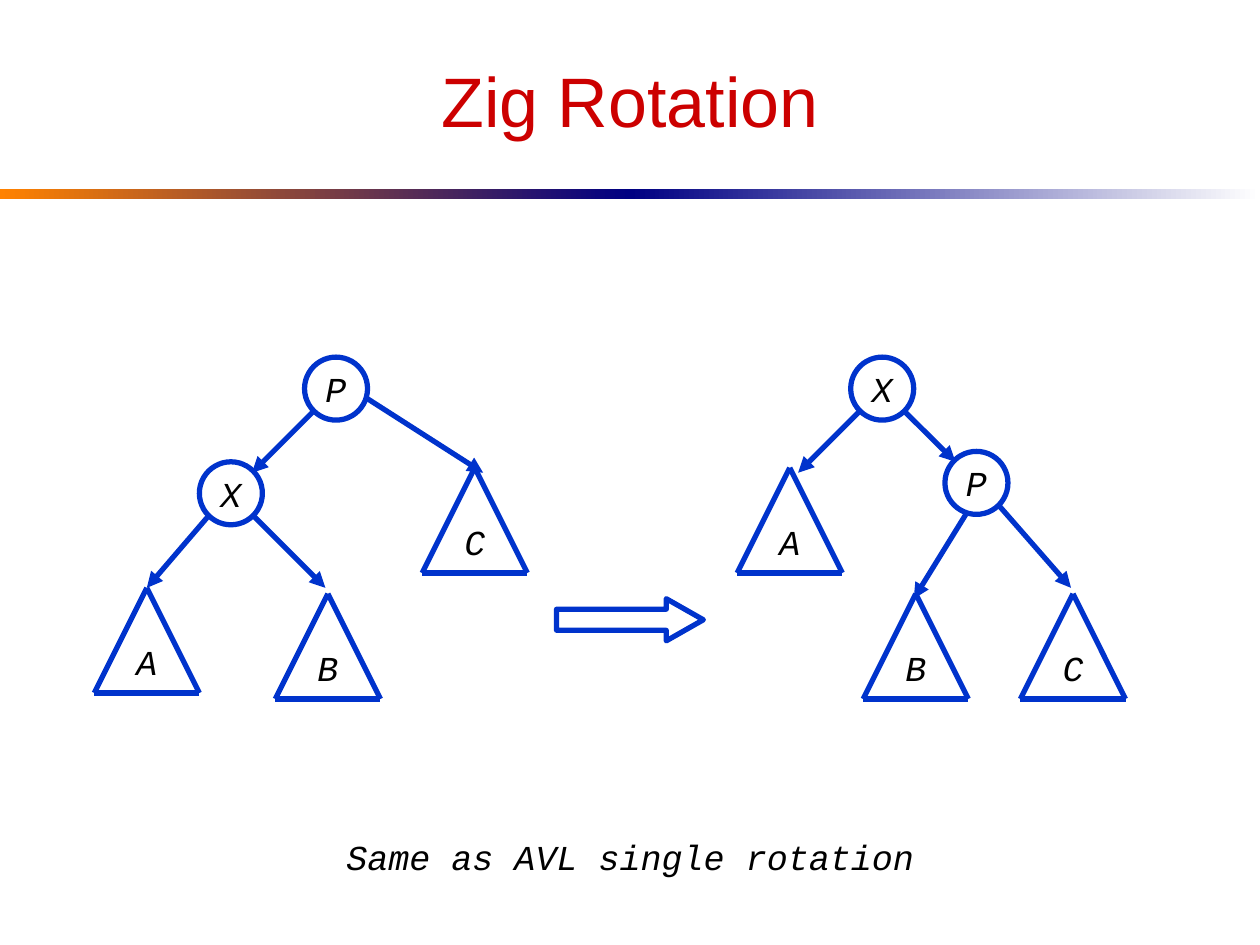
from lxml import etree
from pptx import Presentation
from pptx.dml.color import RGBColor
from pptx.enum.shapes import MSO_CONNECTOR, MSO_SHAPE
from pptx.enum.text import MSO_ANCHOR, PP_ALIGN
from pptx.oxml.ns import qn
from pptx.util import Cm, Pt

LINE = MSO_CONNECTOR.STRAIGHT
RECT, OVAL, ARROW = MSO_SHAPE.RECTANGLE, MSO_SHAPE.OVAL, MSO_SHAPE.RIGHT_ARROW
MID, TOP = MSO_ANCHOR.MIDDLE, MSO_ANCHOR.TOP
CENTER = PP_ALIGN.CENTER

COLORS = {"red": "CC0000", "blue": "0033CC", "black": "000000",
          "white": "FFFFFF", "orange": "FF8200", "navy": "000082"}
NODE = 1.27   # circle diameter
SIDE = 2.12   # subtree base and height


def color(name):
    return RGBColor.from_string(COLORS[name])


def write(shape, text, size=20, font="Courier New", ink="black",
          italic=True, anchor=MID, wrap=False):
    frame = shape.text_frame
    frame.word_wrap = wrap
    frame.vertical_anchor = anchor
    par = frame.paragraphs[0]
    par.alignment = CENTER
    run = par.add_run()
    run.text = text
    run.font.size = Pt(size)
    run.font.name = font
    run.font.italic = italic
    run.font.color.rgb = color(ink)


class Deck:
    def __init__(self, width, height):
        self.prs = Presentation()
        self.prs.slide_width, self.prs.slide_height = Cm(width), Cm(height)
        self.slide = self.prs.slides.add_slide(self.prs.slide_layouts[5])
        self.shapes = self.slide.shapes
        self.ink = color("blue")
        self.weight = Pt(3)

    def title(self, text, *box):
        shape = self.shapes.title
        shape.left, shape.top, shape.width, shape.height = map(Cm, box)
        write(shape, text, size=40, font="Arial", ink="red",
              italic=False, wrap=True)

    def bar(self, start, end, *box):
        shape = self.shapes.add_shape(RECT, *map(Cm, box))
        shape.shadow.inherit = False
        shape.line.fill.background()
        shape.fill.gradient()
        shape.fill.gradient_angle = 0
        for stop, name in zip(shape.fill.gradient_stops, (start, end)):
            stop.color.rgb = color(name)

    def shape(self, kind, *box):
        shape = self.shapes.add_shape(kind, *map(Cm, box))
        shape.shadow.inherit = False
        shape.fill.solid()
        shape.fill.fore_color.rgb = color("white")
        shape.line.color.rgb = self.ink
        shape.line.width = self.weight
        return shape

    def node(self, text, x, y):
        write(self.shape(OVAL, x, y, NODE, NODE), text)

    def line(self, x1, y1, x2, y2, head=False):
        link = self.shapes.add_connector(LINE, Cm(x1), Cm(y1), Cm(x2), Cm(y2))
        link.line.color.rgb = self.ink
        link.line.width = self.weight
        props = link.element.spPr
        if head:
            etree.SubElement(props.find(qn("a:ln")), qn("a:tailEnd"),
                             type="triangle")
        etree.SubElement(props, qn("a:effectLst"))

    def label(self, text, x, y, width):
        box = self.shapes.add_textbox(Cm(x), Cm(y), Cm(width), Cm(1.12))
        write(box, text, anchor=TOP)

    def tree(self, text, x, y):
        """Draw a subtree triangle with its apex at x, y."""
        left, right, base = x - SIDE / 2, x + SIDE / 2, y + SIDE
        self.line(x, y, left, base)
        self.line(left, base, right, base)
        self.line(right, base, x, y)
        self.label(text, x - 0.46, y + 0.94, 0.92)


def main():
    deck = Deck(25.4, 19.05)

    # Title and rule
    deck.bar("orange", "navy", 0, 3.81, 12.7, 0.2)
    deck.bar("navy", "white", 12.7, 3.81, 12.7, 0.2)
    deck.title("Zig Rotation", 1.27, 0.64, 22.86, 2.74)

    # Nodes: before on the left, after on the right
    for node in (("P", 6.14, 7.2), ("X", 4.02, 9.31),
                 ("X", 17.15, 7.2), ("P", 19.05, 9.1)):
        deck.node(*node)

    # Subtrees
    for tree in (("A", 2.96, 11.85), ("B", 6.61, 11.97), ("C", 9.57, 9.43),
                 ("A", 15.92, 9.43), ("B", 18.46, 11.97), ("C", 21.63, 11.97)):
        deck.tree(*tree)

    # Links from parent to child
    for link in ((6.35, 8.26, 5.08, 9.53), (7.41, 8.04, 9.74, 9.53),
                 (4.23, 10.37, 2.96, 11.85), (5.08, 10.37, 6.56, 11.85),
                 (17.36, 8.26, 16.09, 9.53), (18.2, 8.26, 19.26, 9.31),
                 (19.47, 10.37, 18.42, 12.07), (20.11, 10.16, 21.59, 11.85)):
        deck.line(*link, head=True)

    # Rotation arrow and caption
    arrow = deck.shape(ARROW, 11.22, 12.07, 2.96, 0.85)
    arrow.adjustments[0], arrow.adjustments[1] = 0.5, 0.88
    deck.label("Same as AVL single rotation", 6.73, 16.72, 11.96)

    deck.prs.save("out.pptx")


if __name__ == "__main__":
    main()
